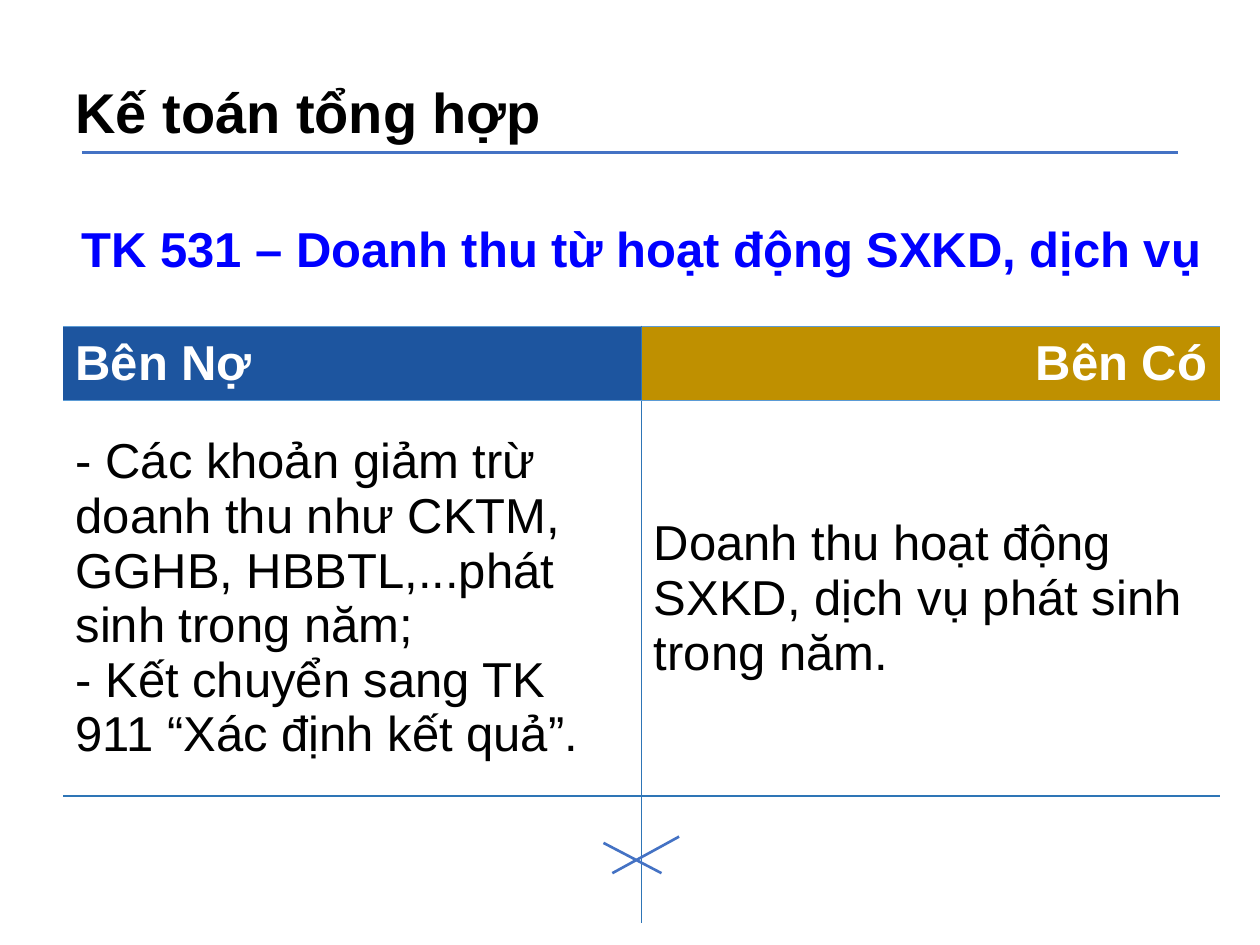
from pptx import Presentation
from pptx.dml.color import RGBColor
from pptx.enum.shapes import MSO_CONNECTOR
from pptx.enum.text import MSO_ANCHOR, PP_ALIGN
from pptx.oxml.ns import qn
from pptx.util import Inches, Pt
from lxml.etree import SubElement

BLUE, GRID, RULE = "4472C4", "2E75B6", "5B9BD5"
PLAIN = "{2D5ABB26-0587-4C30-8999-92F81FD0307C}"


def color(code):
    return RGBColor.from_string(code)


def style(para, text, size, code, bold=False, align=PP_ALIGN.LEFT):
    para.text = text
    para.alignment = align
    font = para.font
    font.name, font.size, font.bold = "Arial", Pt(size), bold
    font.color.rgb = color(code)


def add_line(slide, x1, y1, x2, y2):
    line = slide.shapes.add_connector(
        MSO_CONNECTOR.STRAIGHT, Inches(x1), Inches(y1), Inches(x2), Inches(y2))
    line.line.color.rgb = color(BLUE)
    line.line.width = Pt(1.5)
    SubElement(line._element.spPr, qn("a:effectLst"))


def add_title(slide, text):
    box = slide.shapes.add_textbox(0, Inches(0.57), Inches(5), Inches(0.64))
    frame = box.text_frame
    frame.word_wrap = True
    para = frame.paragraphs[0]
    style(para, text, 32, "000000", True)
    para._p.get_or_add_pPr().set("indent", str(Inches(0.5)))


def set_edges(cell, edges):
    """Draw the given sides, in the order L, R, T, B."""
    props = cell._tc.get_or_add_tcPr()
    for side in "LRTB":
        if side in edges:
            edge = SubElement(props, qn("a:ln" + side), w=str(Pt(1)))
            fill = SubElement(edge, qn("a:solidFill"))
            SubElement(fill, qn("a:srgbClr"), val=edges[side])


def fill_cell(cell, lines, code, bold=False, align=PP_ALIGN.LEFT, back=None):
    cell.vertical_anchor = MSO_ANCHOR.MIDDLE
    frame = cell.text_frame
    for i, text in enumerate(lines):
        para = frame.add_paragraph() if i else frame.paragraphs[0]
        style(para, text, 28, code, bold, align)
    if back:
        cell.fill.solid()
        cell.fill.fore_color.rgb = color(back)
    else:
        cell.fill.background()


def add_ledger(slide):
    rows = [1.21, 0.59, 3.14, 1.01]
    table = slide.shapes.add_table(
        len(rows), 2, Inches(0.5), Inches(1.38), Inches(9.18), Inches(sum(rows))).table
    table._tbl.tblPr.find(qn("a:tableStyleId")).text = PLAIN
    table.first_row = table.horz_banding = False
    for row, high in zip(table.rows, rows):
        row.height = Inches(high)
    for col in table.columns:
        col.width = Inches(4.59)
    table.cell(0, 0).merge(table.cell(0, 1))

    # Account lines
    level = [{"B": RULE}, {"T": RULE}, {"B": GRID}, {"T": GRID}]
    for r, edges in enumerate(level):
        for c, inner in enumerate("RL"):
            middle = {inner: GRID} if r else {}
            set_edges(table.cell(r, c), {**edges, **middle})

    # Account name, debit and credit sides
    fill_cell(table.cell(0, 0), ["TK 531 – Doanh thu từ hoạt động SXKD, dịch vụ"],
              "0000FF", True, PP_ALIGN.CENTER)
    sides = [
        ("Bên Nợ", "1D559F", PP_ALIGN.LEFT,
         ["- Các khoản giảm trừ doanh thu như CKTM, GGHB, HBBTL,...phát sinh trong năm;",
          "- Kết chuyển sang TK 911 “Xác định kết quả”."]),
        ("Bên Có", "BF9000", PP_ALIGN.RIGHT,
         ["Doanh thu hoạt động SXKD, dịch vụ phát sinh trong năm."]),
    ]
    for c, (head, back, align, body) in enumerate(sides):
        fill_cell(table.cell(1, c), [head], "FFFFFF", True, align, back)
        fill_cell(table.cell(2, c), body, "000000")
        table.cell(3, c).fill.background()


def main():
    deck = Presentation()
    deck.slide_width, deck.slide_height = Inches(10), Inches(7.5)
    slide = deck.slides.add_slide(deck.slide_layouts[6])

    # Heading
    add_line(slide, 0.65, 1.21, 9.35, 1.21)
    add_title(slide, "Kế toán tổng hợp")

    # T-account, crossed at the foot: no closing balance
    add_ledger(slide)
    add_line(slide, 5.39, 6.64, 4.86, 6.93)
    add_line(slide, 4.79, 6.69, 5.25, 6.93)

    deck.save("out.pptx")


if __name__ == "__main__":
    main()
